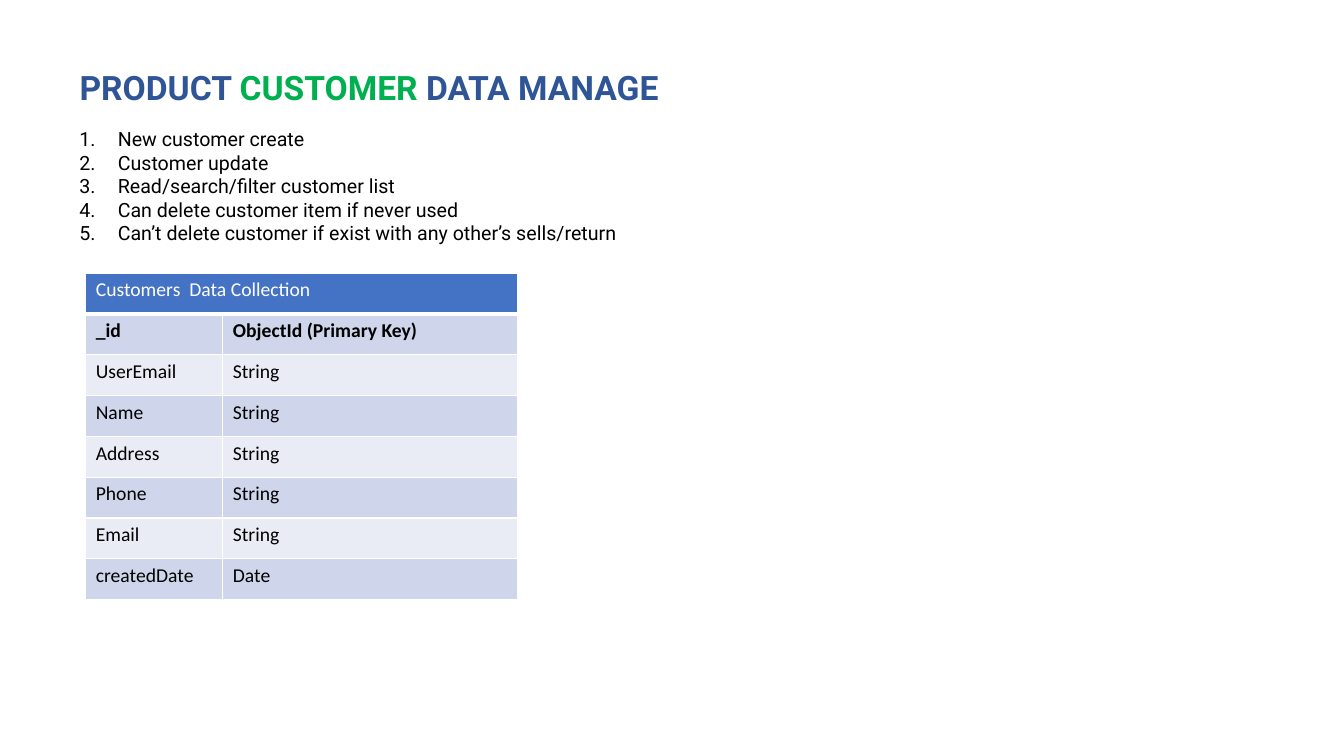
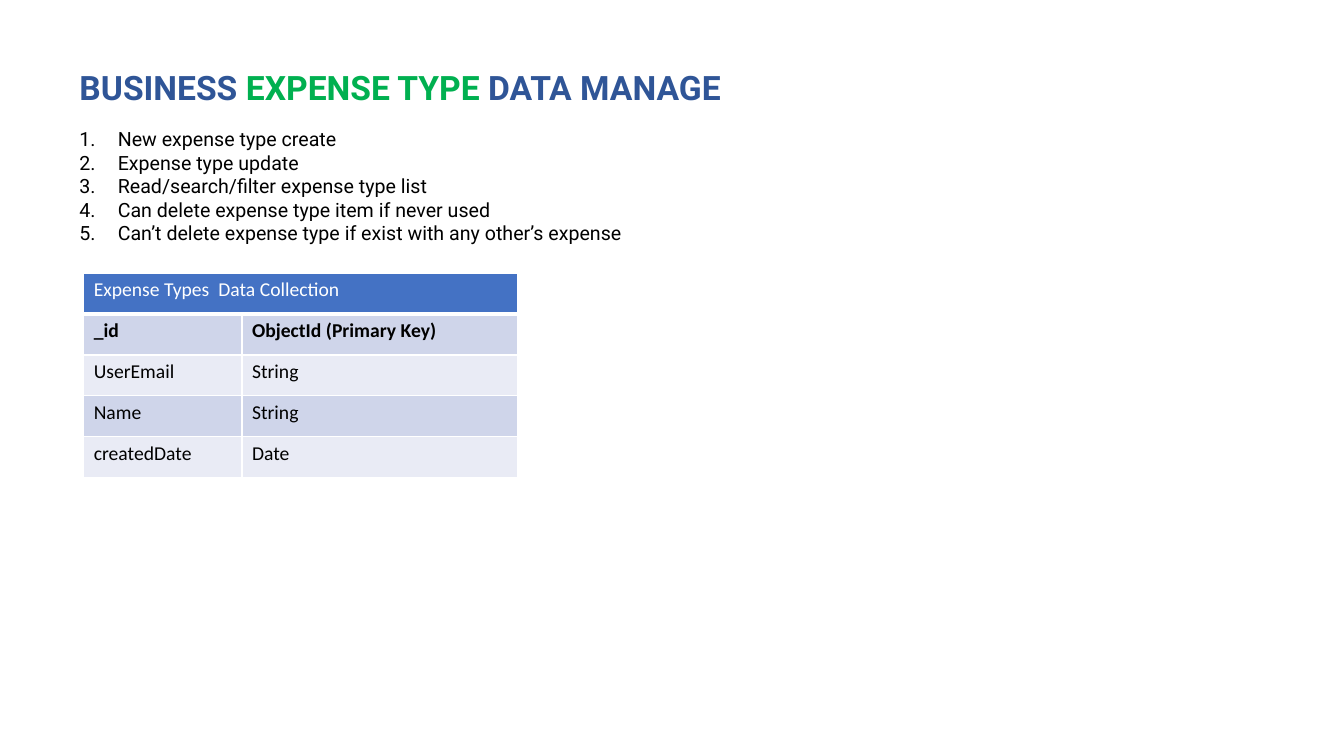
import pptx
import pptx.dml.color
import pptx.enum.text
import pptx.oxml.ns
import pptx.util
from lxml import etree
from pptx.util import Inches


def color(hex_string):
    return pptx.dml.color.RGBColor.from_string(hex_string)


def add_xml(parent, tag, **attributes):
    return etree.SubElement(parent, pptx.oxml.ns.qn(tag), attributes)


class Deck:
    """Holds the shared style and the slide being built."""

    BLUE, GREEN, BLACK, WHITE = "2F5597", "00B050", "000000", "FFFFFF"
    HEADER_FILL = "4472C4"
    BAND_FILLS = ("CFD5EA", "E9EBF5")
    TITLE = {"name": "Roboto", "size": pptx.util.Pt(24), "bold": True}
    LIST = {"name": "Roboto", "size": pptx.util.Pt(14), "bold": False}
    CELL = {"name": "Calibri", "size": pptx.util.Pt(14), "bold": False}
    LEFT, TITLE_TOP, LIST_TOP, TABLE_TOP = 0.69, 0.61, 1.21, 2.71
    TABLE_RIGHT = 5.13
    INDENT = 0.38

    def __init__(self):
        self.presentation = pptx.Presentation()
        self.presentation.slide_width = Inches(13.33)
        self.presentation.slide_height = Inches(7.5)
        self.slide = None

    def add_slide(self):
        self.slide = self.presentation.slides.add_slide(self.presentation.slide_layouts[6])

    def add_run(self, paragraph, text, hex_string, style):
        run = paragraph.add_run()
        run.text = text
        for name, value in style.items():
            setattr(run.font, name, value)
        run.font.color.rgb = color(hex_string)

    def add_text_frame(self, top, width, height):
        shape = self.slide.shapes.add_textbox(
            Inches(self.LEFT), Inches(top), Inches(width), Inches(height))
        frame = shape.text_frame
        frame.word_wrap = False
        frame.auto_size = pptx.enum.text.MSO_AUTO_SIZE.SHAPE_TO_FIT_TEXT
        return frame

    def add_title(self, width, before, highlight, after):
        paragraph = self.add_text_frame(self.TITLE_TOP, width, 0.5).paragraphs[0]
        parts = ((before, self.BLUE), (highlight, self.GREEN), (after, self.BLUE))
        for text, hex_string in parts:
            self.add_run(paragraph, text, hex_string, self.TITLE)

    def add_numbered_list(self, width, items):
        frame = self.add_text_frame(self.LIST_TOP, width, 1.28)
        for index, item in enumerate(items):
            paragraph = frame.add_paragraph() if index else frame.paragraphs[0]
            properties = paragraph._p.get_or_add_pPr()
            properties.set("marL", str(Inches(self.INDENT)))
            properties.set("indent", str(-Inches(self.INDENT)))
            add_xml(properties, "a:buAutoNum", type="arabicPeriod")
            self.add_run(paragraph, item, self.BLACK, self.LIST)

    def set_borders(self, cell, **widths):
        """Draw white borders; widths are in points, keyed by side."""
        properties = cell._tc.get_or_add_tcPr()
        for side in "LRTB":
            width = pptx.util.Pt(widths.get(side, 1))
            line = add_xml(properties, f"a:ln{side}", w=str(width))
            add_xml(add_xml(line, "a:solidFill"), "a:srgbClr", val=self.WHITE)

    def format_cell(self, cell, text, fill, hex_string, bold=False, **borders):
        self.set_borders(cell, **borders)
        cell.fill.solid()
        cell.fill.fore_color.rgb = color(fill)
        if text:
            self.add_run(cell.text_frame.paragraphs[0], text, hex_string,
                         {**self.CELL, "bold": bold})

    def add_field_table(self, left, height, name_width, heading, fields):
        width = self.TABLE_RIGHT - left
        row_count = len(fields) + 1
        table = self.slide.shapes.add_table(
            row_count, 2, Inches(left), Inches(self.TABLE_TOP),
            Inches(width), Inches(height)).table
        for column, column_width in zip(table.columns, (name_width, width - name_width)):
            column.width = Inches(column_width)
        for row in table.rows:
            row.height = Inches(height / row_count)

        # Heading across both columns
        table.cell(0, 0).merge(table.cell(0, 1))
        for column, text in enumerate((heading, "")):
            self.format_cell(table.cell(0, column), text, self.HEADER_FILL, self.WHITE, B=3)

        # Banded field rows, with the key in bold
        for row, field in enumerate(fields, start=1):
            for column, text in enumerate(field):
                self.format_cell(
                    table.cell(row, column), text, self.BAND_FILLS[(row - 1) % 2],
                    self.BLACK, bold=row == 1, T=3 if row == 1 else 1)


KEY_FIELDS = [("_id", "ObjectId (Primary Key)"), ("UserEmail", "String"), ("Name", "String")]
DATE_FIELD = ("createdDate", "Date")


def main():
    deck = Deck()

    # Customers
    deck.add_slide()
    deck.add_title(6.15, "PRODUCT ", "CUSTOMER", " DATA MANAGE")
    contact_fields = [(name, "String") for name in ("Address", "Phone", "Email")]
    deck.add_field_table(0.85, 3.24, 1.36, "Customers  Data Collection",
                         [*KEY_FIELDS, *contact_fields, DATE_FIELD])
    deck.add_numbered_list(5.57, [
        "New customer create",
        "Customer update",
        "Read/search/filter customer list",
        "Can delete customer item if never used",
        "Can’t delete customer if exist with any other’s sells/return",
    ])

    # Expense types
    deck.add_slide()
    deck.add_title(6.76, "BUSINESS ", "EXPENSE TYPE", " DATA MANAGE")
    deck.add_numbered_list(5.64, [
        "New expense type create",
        "Expense type update",
        "Read/search/filter expense type list",
        "Can delete expense type item if never used",
        "Can’t delete expense type if exist with any other’s expense",
    ])
    deck.add_field_table(0.83, 2.03, 1.57, "Expense Types  Data Collection",
                         [*KEY_FIELDS, DATE_FIELD])

    deck.presentation.save("out.pptx")


if __name__ == "__main__":
    main()
